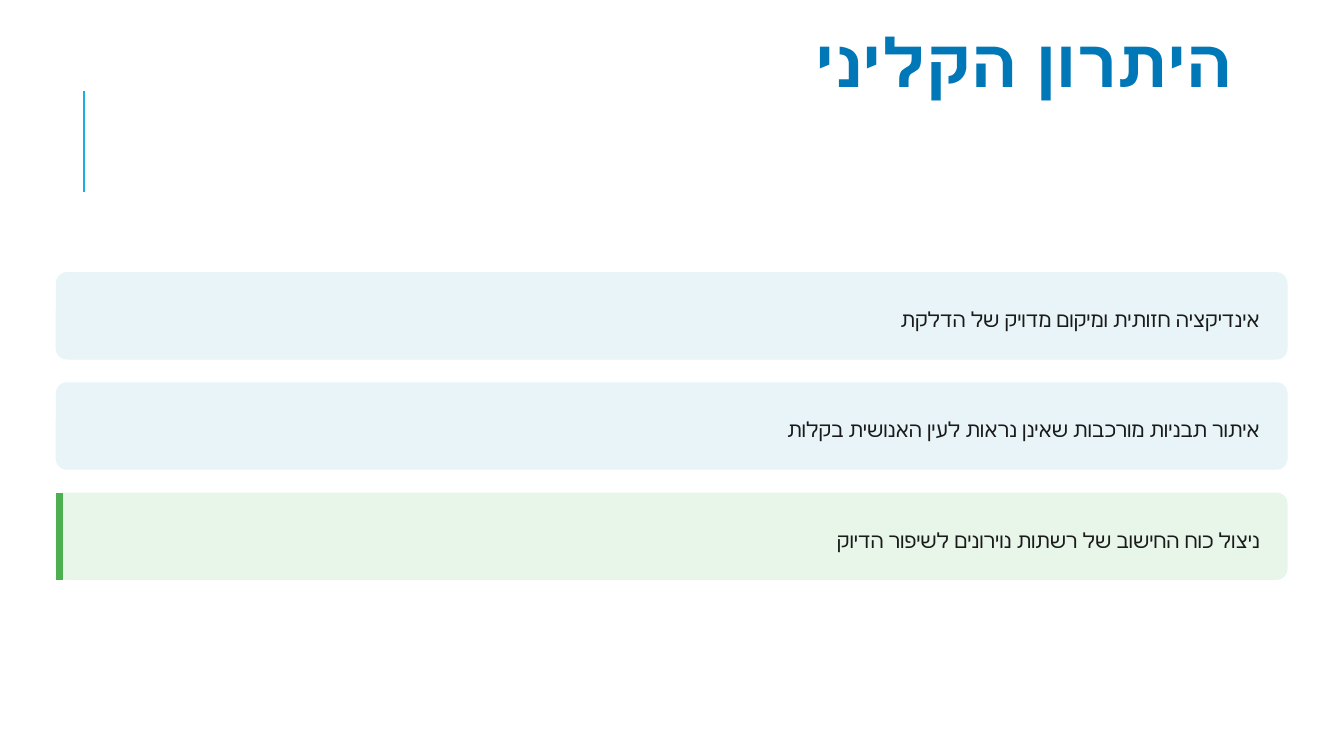
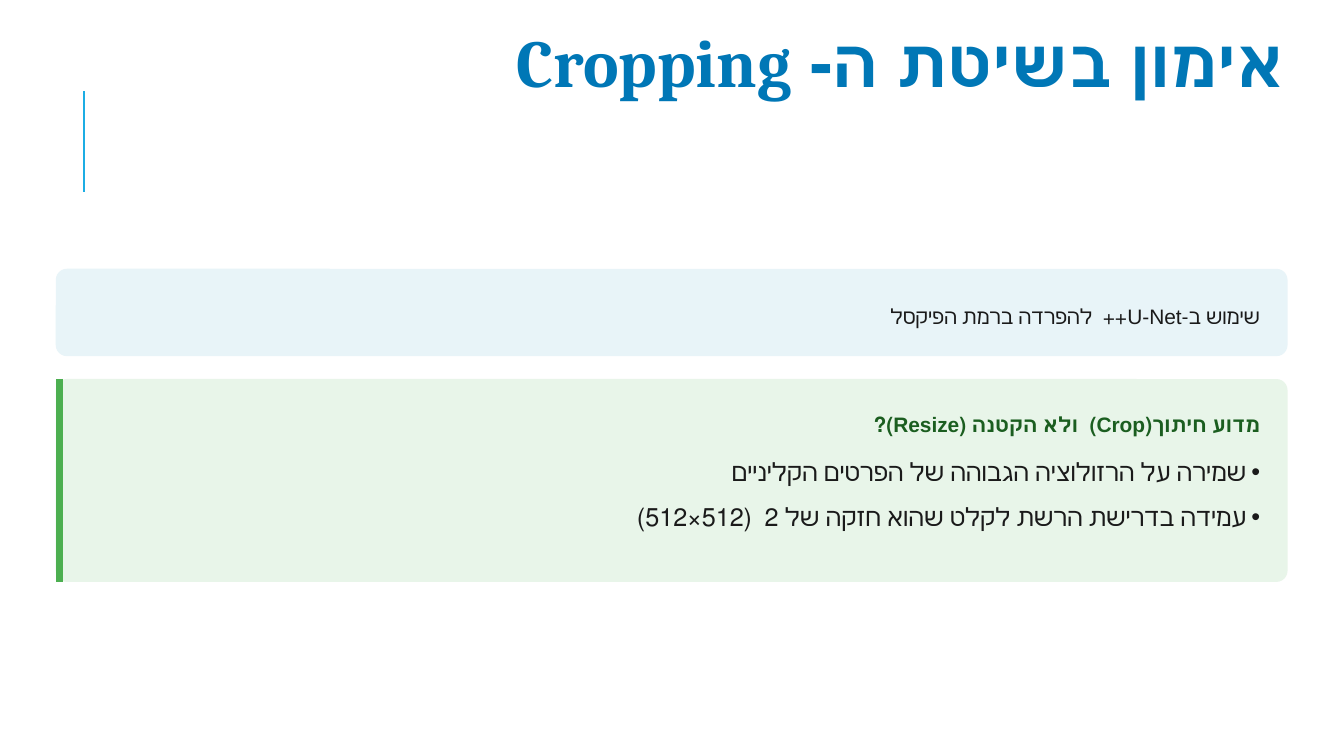
from pptx import Presentation
from pptx.dml.color import RGBColor
from pptx.enum.shapes import MSO_CONNECTOR, MSO_SHAPE
from pptx.enum.text import PP_ALIGN
from pptx.oxml.ns import qn
from pptx.util import Pt
from lxml.etree import SubElement

PX = 4572
BLUE = RGBColor(0x00, 0x77, 0xB6)
SKY = RGBColor(0x1C, 0xAD, 0xE4)
PALE_BLUE = RGBColor(0xE8, 0xF4, 0xF8)
PALE_GREEN = RGBColor(0xE8, 0xF5, 0xE9)
GREEN = RGBColor(0x4C, 0xAF, 0x50)
DARK_GREEN = RGBColor(0x1B, 0x5E, 0x20)
INK = RGBColor(0x1A, 0x1A, 0x1A)

CARD_LEFT, CARD_WIDTH, CARD_HEIGHT = 83, 1833, 130
CARD_GAP, CARD_PADDING, CORNER = 34, 42, 16.6
TEXT_RIGHT = 1875


def add_text(slide, left, top, width, height, lines, size, color, spacing,
             font="Arial", bold=False, rtl=False, bullet=False, after=None, insets=(0, 0, 0, 0)):
    box = slide.shapes.add_textbox(left * PX, top * PX, width * PX, height * PX)
    frame = box.text_frame
    frame.word_wrap = True
    frame.margin_left, frame.margin_top, frame.margin_right, frame.margin_bottom = [
        inset * PX for inset in insets]
    for index, line in enumerate(lines):
        paragraph = frame.paragraphs[0] if index == 0 else frame.add_paragraph()
        paragraph.alignment = PP_ALIGN.RIGHT
        paragraph.line_spacing = Pt(spacing)
        if after:
            paragraph.space_after = Pt(after)
        properties = paragraph._p.get_or_add_pPr()
        if rtl:
            properties.set("rtl", "1")
        if bullet:
            properties.set("marL", str(20 * PX))
            properties.set("indent", str(-20 * PX))
            SubElement(properties, qn("a:buFont")).set("typeface", font)
            SubElement(properties, qn("a:buChar")).set("char", "•")
        run = paragraph.add_run()
        run.text = line
        run.font.size = Pt(size)
        run.font.name = font
        run.font.bold = bold
        run.font.color.rgb = color


def add_line(slide, x, top, bottom, color, width):
    line = slide.shapes.add_connector(MSO_CONNECTOR.STRAIGHT, x * PX, top * PX, x * PX, bottom * PX)
    line.line.color.rgb = color
    line.line.width = Pt(width)
    SubElement(line._element.spPr, qn("a:effectLst"))


presentation = Presentation()
presentation.slide_width = 2000 * PX
presentation.slide_height = 1125 * PX

SLIDES = [
    ("היתרון הקליני", 896, 980, False, 405, [
        ("אינדיקציה חזותית ומיקום מדויק של הדלקת", False, []),
        ("איתור תבניות מורכבות שאינן נראות לעין האנושית בקלות", False, []),
        ("ניצול כוח החישוב של רשתות נוירונים לשיפור הדיוק", True, []),
    ]),
    ("אימון בשיטת ה- Cropping", 464, 1490, True, 400, [
        ("שימוש ב-U-Net++  להפרדה ברמת הפיקסל", False, []),
        ("מדוע חיתוך(Crop)  ולא הקטנה (Resize)?", True, [
            "שמירה על הרזולוציה הגבוהה של הפרטים הקליניים",
            "עמידה בדרישת הרשת לקלט שהוא חזקה של 2  (512×512)",
        ]),
    ]),
]

for title, title_left, title_width, rtl, top, cards in SLIDES:
    slide = presentation.slides.add_slide(presentation.slide_layouts[6])
    add_line(slide, 125, 136, 286, SKY, 1.5)
    add_text(slide, title_left, 0, title_width, 170, [title], 36, BLUE, 36,
             font="Cambria", bold=True, rtl=rtl, insets=(42, 50, 42, 20))
    for text, highlighted, bullets in cards:
        height = 302 if bullets else CARD_HEIGHT
        card = slide.shapes.add_shape(MSO_SHAPE.ROUNDED_RECTANGLE, CARD_LEFT * PX, top * PX,
                                      CARD_WIDTH * PX, height * PX)
        card.adjustments[0] = CORNER / height
        card.shadow.inherit = False
        card.fill.solid()
        card.fill.fore_color.rgb = PALE_GREEN if highlighted else PALE_BLUE
        card.line.fill.background()
        if highlighted:
            add_line(slide, 88, top, top + height, GREEN, 3.75)
        text_left = 100 if highlighted else 90
        text_width = TEXT_RIGHT - text_left
        text_top = top + CARD_PADDING
        if bullets:
            add_text(slide, text_left, text_top, text_width, 44, [text], 11.2, DARK_GREEN, 15.8,
                     bold=True, rtl=rtl, after=6)
            add_text(slide, 136, text_top + 60, TEXT_RIGHT - 136, 158, bullets, 13.5, INK, 21,
                     rtl=rtl, bullet=True, after=3, insets=(20, 0, 0, 0))
        else:
            add_text(slide, text_left, text_top, text_width, 46, [text], 11.2, INK, 16.9, rtl=rtl)
        top += height + CARD_GAP

presentation.save("out.pptx")
